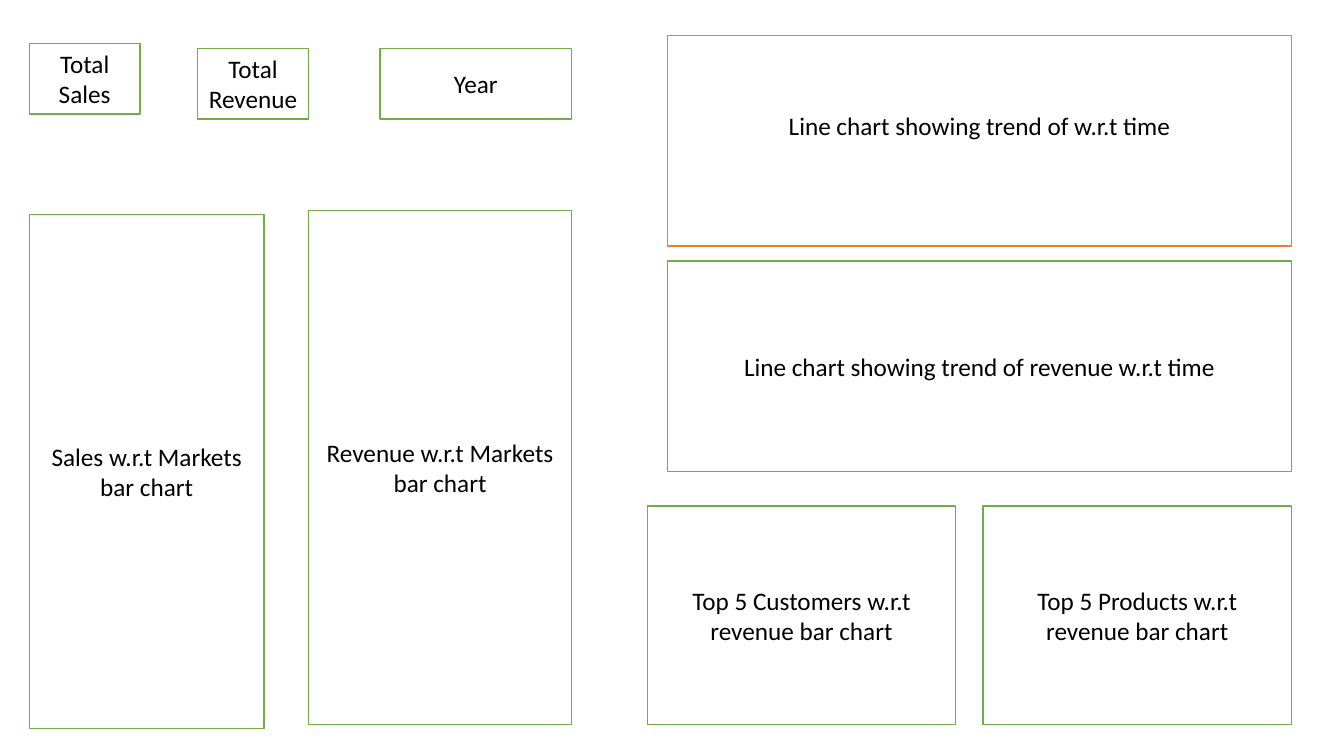
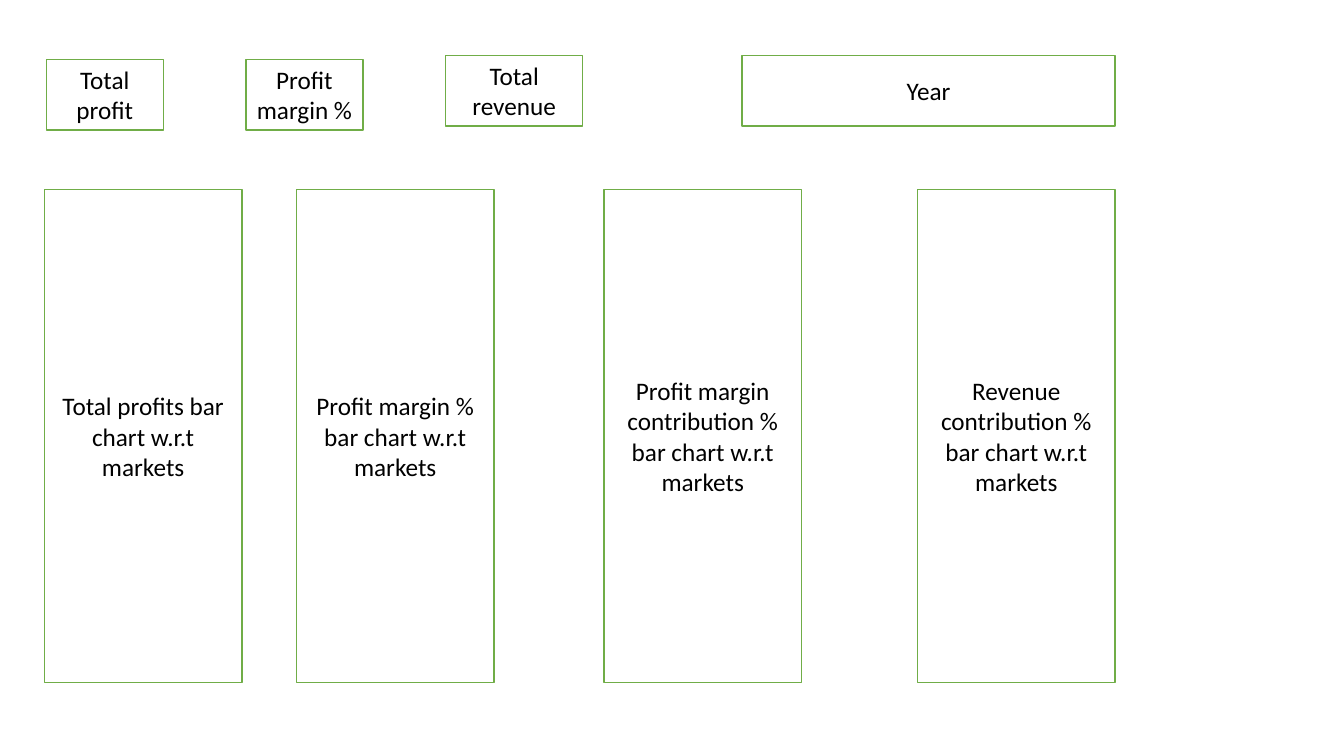
from pptx import Presentation
from pptx.dml.color import RGBColor
from pptx.enum.shapes import MSO_SHAPE
from pptx.enum.text import MSO_ANCHOR, PP_ALIGN
from pptx.util import Emu, Pt

EMU_PER_PX = 9144
COLORS = {"paper": "FFFFFF", "ink": "000000", "green": "70AD47", "orange": "ED7D31"}


def px(length):
    return Emu(length * EMU_PER_PX)


def color(name):
    return RGBColor.from_string(COLORS[name])


class Wireframe:
    font_name = "Calibri"
    font_size = Pt(18)
    line_width = Pt(1)

    def __init__(self, width, height):
        self.presentation = Presentation()
        self.presentation.slide_width = px(width)
        self.presentation.slide_height = px(height)
        self.slide = None

    def add_slide(self):
        blank_layout = self.presentation.slide_layouts[6]
        self.slide = self.presentation.slides.add_slide(blank_layout)

    def add_panel(self, text, left, top, width, height, outline="green", bottom_inset=5):
        shape = self.slide.shapes.add_shape(
            MSO_SHAPE.RECTANGLE, px(left), px(top), px(width), px(height))
        shape.shadow.inherit = False
        shape.fill.solid()
        shape.fill.fore_color.rgb = color("paper")
        shape.line.color.rgb = color(outline)
        shape.line.width = self.line_width
        frame = shape.text_frame
        frame.word_wrap = True
        frame.vertical_anchor = MSO_ANCHOR.MIDDLE
        frame.margin_bottom = px(bottom_inset)
        paragraph = frame.paragraphs[0]
        paragraph.alignment = PP_ALIGN.CENTER
        run = paragraph.add_run()
        run.text = text
        run.font.name = self.font_name
        run.font.size = self.font_size
        run.font.color.rgb = color("ink")


def build_sales_slide(wireframe):
    wireframe.add_slide()
    card_height, bar_height = 70, 510
    wireframe.add_panel("Total Sales", 29, 43, 110, card_height)
    wireframe.add_panel("Total Revenue", 196, 48, 110, card_height)
    wireframe.add_panel("Year", 377, 48, 190, card_height)
    wireframe.add_panel("Sales w.r.t Markets bar chart", 29, 213, 233, bar_height)
    wireframe.add_panel("Revenue w.r.t Markets bar chart", 306, 209, 261, bar_height)

    trend_left, trend_width, trend_height = 662, 619, 209
    wireframe.add_panel("Line chart showing trend of w.r.t time", trend_left, 35,
                        trend_width, trend_height, outline="orange", bottom_inset=35)
    wireframe.add_panel("Line chart showing trend of revenue w.r.t time", trend_left, 259,
                        trend_width, trend_height)
    for left, subject in ((642, "Customers"), (975, "Products")):
        wireframe.add_panel(f"Top 5 {subject} w.r.t revenue bar chart", left, 502, 306, 217)


def build_profit_slide(wireframe):
    wireframe.add_slide()
    cards = (
        ("Total profit", 46, 59, 116),
        ("Profit margin %", 244, 59, 116),
        ("Total revenue", 442, 55, 136),
        ("Year", 736, 55, 370),
    )
    for text, left, top, width in cards:
        wireframe.add_panel(text, left, top, width, 70)

    bar_charts = (
        ("Total profits", 44),
        ("Profit margin %", 294),
        ("Profit margin contribution %", 599),
        ("Revenue contribution %", 910),
    )
    for measure, left in bar_charts:
        wireframe.add_panel(f"{measure} bar chart w.r.t markets", left, 188, 196, 489)


def main():
    wireframe = Wireframe(1333, 750)
    build_sales_slide(wireframe)
    build_profit_slide(wireframe)
    wireframe.presentation.save("out.pptx")


if __name__ == "__main__":
    main()
